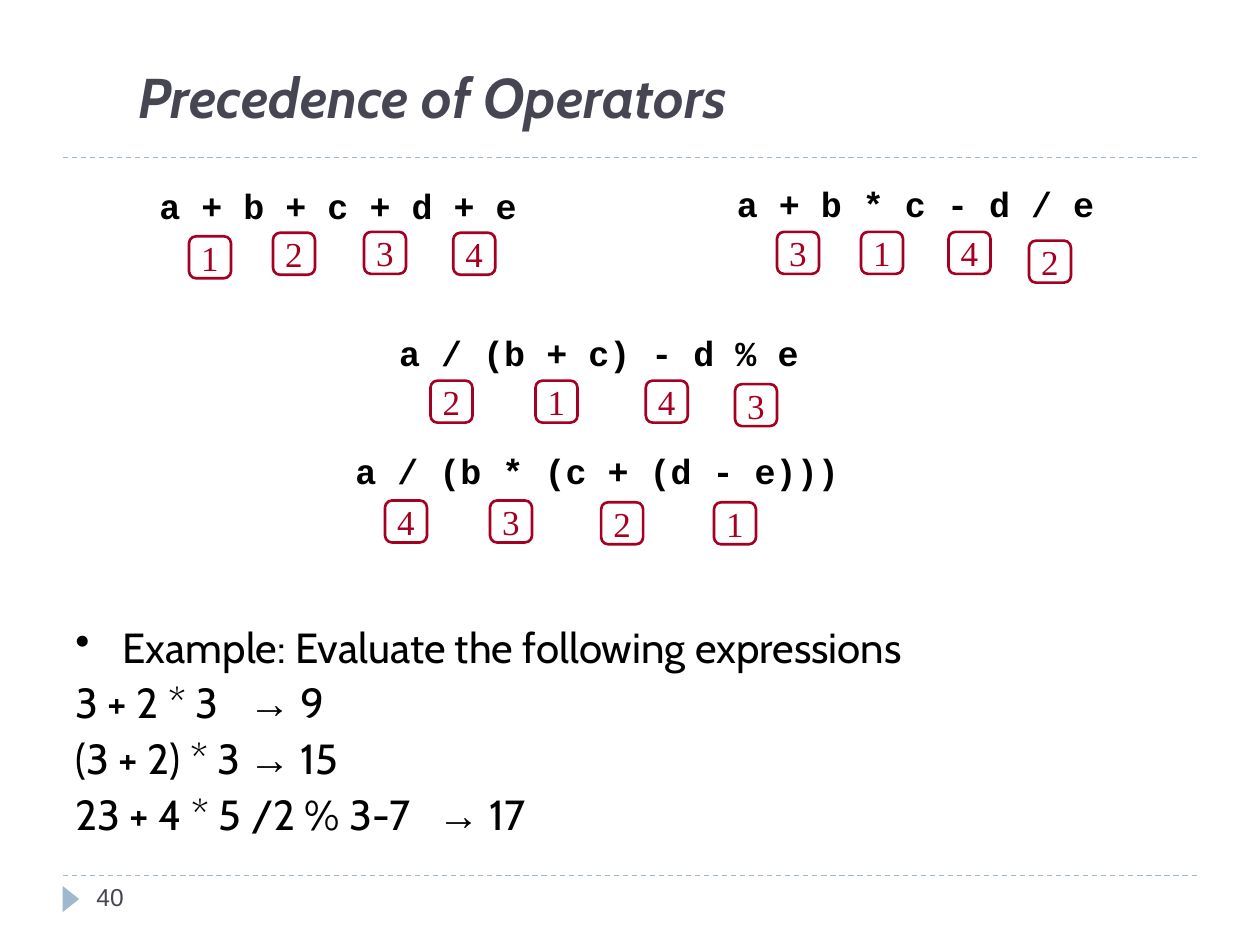
"""Build a slide on operator precedence with numbered evaluation order."""
from typing import NamedTuple

from lxml import etree
from pptx import Presentation
from pptx.dml.color import RGBColor
from pptx.enum.dml import MSO_LINE
from pptx.enum.shapes import MSO_CONNECTOR, MSO_SHAPE
from pptx.enum.text import MSO_ANCHOR, MSO_AUTO_SIZE, PP_ALIGN
from pptx.oxml.ns import qn
from pptx.shapes.autoshape import Shape
from pptx.slide import Slide
from pptx.util import Pt

STRAIGHT = MSO_CONNECTOR.STRAIGHT
ROUNDED = MSO_SHAPE.ROUNDED_RECTANGLE
TRIANGLE = MSO_SHAPE.ISOSCELES_TRIANGLE
DASH = MSO_LINE.DASH
TOP, MIDDLE, BOTTOM = MSO_ANCHOR.TOP, MSO_ANCHOR.MIDDLE, MSO_ANCHOR.BOTTOM
CENTER = PP_ALIGN.CENTER
FIT_SHAPE = MSO_AUTO_SIZE.SHAPE_TO_FIT_TEXT

BLACK = RGBColor(0x00, 0x00, 0x00)
SLATE = RGBColor(0x46, 0x46, 0x53)
CRIMSON = RGBColor(0xA5, 0x00, 0x21)
PALE_BLUE = RGBColor(0x9F, 0xB8, 0xCD)

BADGE_SIZE = 24
HANGING_INDENT = 27


class Font(NamedTuple):
    name: str
    size: float
    color: RGBColor
    bold: bool = False
    italic: bool = False


class Badge(NamedTuple):
    order: str
    left: float
    top: float


class Expression(NamedTuple):
    text: str
    left: float
    top: float
    width: float
    badges: tuple[Badge, ...]


class Example(NamedTuple):
    expression: str
    tab_stop: float
    result: str


TITLE_FONT = Font("Cabin", 32, SLATE, bold=True, italic=True)
NUMBER_FONT = Font("Arial", 14, SLATE)
CODE_FONT = Font("Courier New", 20, BLACK, bold=True)
BADGE_FONT = Font("Times New Roman", 20, CRIMSON)
BODY_FONT = Font("Cabin", 24, BLACK)
ARROW_FONT = Font("Arial", 24, BLACK)

EXPRESSIONS = (
    Expression("a + b + c + d + e", 84, 102, 219, (
        Badge("1", 108, 135), Badge("2", 156, 133),
        Badge("3", 208, 132.5), Badge("4", 259, 133))),
    Expression("a + b * c - d / e", 414, 101, 219, (
        Badge("3", 444, 132.5), Badge("1", 492, 132.5),
        Badge("4", 542, 132.5), Badge("2", 588, 137.5))),
    Expression("a / (b + c) - d % e", 221, 186, 243, (
        Badge("2", 246, 217.5), Badge("1", 306, 217.5),
        Badge("4", 369, 217.5), Badge("3", 420, 219.5))),
    Expression("a / (b * (c + (d - e)))", 196, 253.5, 291, (
        Badge("4", 220, 286), Badge("3", 280, 286),
        Badge("2", 343.5, 287), Badge("1", 408, 287))),
)

EXAMPLES = (
    Example("3 + 2 * 3", 144, "9"),
    Example("(3 + 2) * 3", 216, "15"),
    Example("23 + 4 * 5 /2 % 3-7", 181, "17"),
)


def add_run(paragraph, text: str, font: Font) -> None:
    run = paragraph.add_run()
    run.text = text
    run.font.name = font.name
    run.font.size = Pt(font.size)
    run.font.bold = font.bold
    run.font.italic = font.italic
    run.font.color.rgb = font.color


def add_text_box(slide: Slide, left: float, top: float, width: float, height: float,
                 wrap: bool = True, anchor: MSO_ANCHOR = TOP) -> Shape:
    shape = slide.shapes.add_textbox(Pt(left), Pt(top), Pt(width), Pt(height))
    shape.text_frame.word_wrap = wrap
    shape.text_frame.vertical_anchor = anchor
    return shape


def add_label(shape: Shape, text: str, font: Font) -> None:
    add_run(shape.text_frame.paragraphs[0], text, font)


def add_divider(slide: Slide, top: float) -> None:
    connector = slide.shapes.add_connector(STRAIGHT, Pt(36), Pt(top), Pt(684), Pt(top))
    connector.line.color.rgb = PALE_BLUE
    connector.line.width = Pt(0.75)
    connector.line.dash_style = DASH
    etree.SubElement(connector._element.spPr, qn("a:effectLst"))


def add_page_marker(slide: Slide) -> None:
    shape = slide.shapes.add_shape(TRIANGLE, Pt(33), Pt(509), Pt(15), Pt(9.5))
    shape.rotation = 90
    shape.shadow.inherit = False
    shape.fill.solid()
    shape.fill.fore_color.rgb = PALE_BLUE
    shape.line.fill.background()


def add_badge(slide: Slide, badge: Badge) -> None:
    shape = slide.shapes.add_shape(
        ROUNDED, Pt(badge.left), Pt(badge.top), Pt(BADGE_SIZE), Pt(BADGE_SIZE))
    shape.shadow.inherit = False
    shape.fill.background()
    shape.line.color.rgb = CRIMSON
    shape.line.width = Pt(1.5)
    shape.text_frame.word_wrap = False
    shape.text_frame.vertical_anchor = MIDDLE
    shape.text_frame.paragraphs[0].alignment = CENTER
    add_label(shape, badge.order, BADGE_FONT)


def add_expression(slide: Slide, expression: Expression) -> None:
    shape = add_text_box(
        slide, expression.left, expression.top, expression.width, 31.5, wrap=False)
    shape.text_frame.auto_size = FIT_SHAPE
    add_label(shape, expression.text, CODE_FONT)
    for badge in expression.badges:
        add_badge(slide, badge)


def hang_indent(paragraph) -> etree._Element:
    properties = paragraph._p.get_or_add_pPr()
    properties.set("marL", str(Pt(HANGING_INDENT)))
    properties.set("indent", str(-Pt(HANGING_INDENT)))
    return properties


def add_examples(slide: Slide) -> None:
    frame = add_text_box(slide, 36, 351.5, 630, 132).text_frame
    heading = frame.paragraphs[0]
    properties = hang_indent(heading)
    bullet_color = etree.SubElement(properties, qn("a:buClr"))
    etree.SubElement(bullet_color, qn("a:srgbClr"), val=str(BLACK))
    etree.SubElement(properties, qn("a:buChar"), char="•")
    add_run(heading, "Example: Evaluate the following expressions", BODY_FONT)
    for example in EXAMPLES:
        paragraph = frame.add_paragraph()
        paragraph.space_before = Pt(3)
        tabs = etree.SubElement(hang_indent(paragraph), qn("a:tabLst"))
        etree.SubElement(tabs, qn("a:tab"), pos=str(Pt(example.tab_stop)), algn="l")
        add_run(paragraph, f"{example.expression}\t", BODY_FONT)
        add_run(paragraph, "→", ARROW_FONT)
        add_run(paragraph, f" {example.result}", BODY_FONT)


def main() -> None:
    presentation = Presentation()
    presentation.slide_width, presentation.slide_height = Pt(720), Pt(540)
    slide = presentation.slides.add_slide(presentation.slide_layouts[6])
    for top in (500.5, 90):
        add_divider(slide, top)
    add_page_marker(slide)
    title = add_text_box(slide, 72, 21.5, 612, 56, anchor=BOTTOM)
    add_label(title, "Precedence of Operators", TITLE_FONT)
    add_label(add_text_box(slide, 48, 500.5, 156, 29), "40", NUMBER_FONT)
    for expression in EXPRESSIONS:
        add_expression(slide, expression)
    add_examples(slide)
    presentation.save("out.pptx")


if __name__ == "__main__":
    main()
